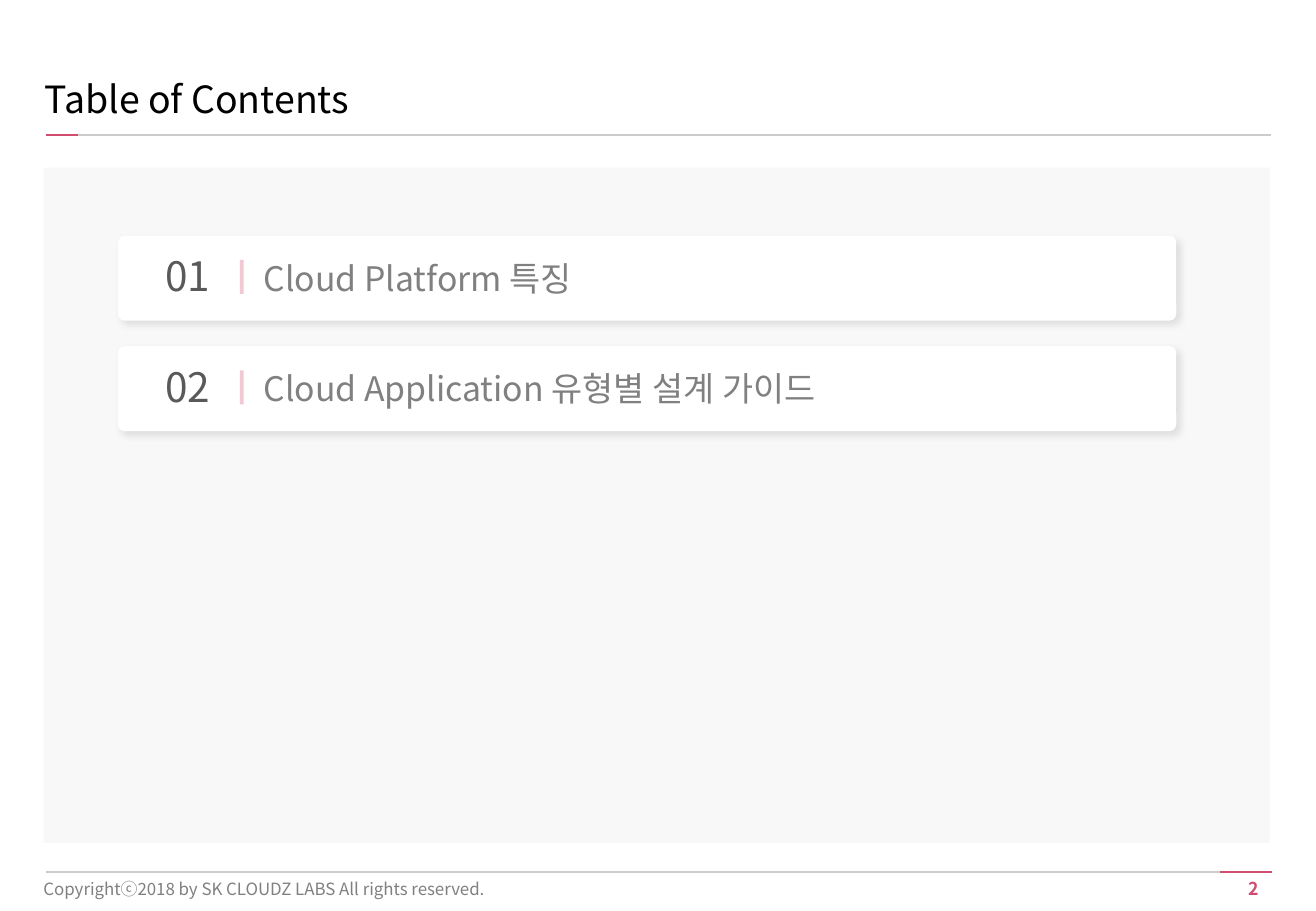
"""Build a table of contents slide with numbered cards."""
import lxml.etree
import pptx
import pptx.dml.color
import pptx.enum.shapes
import pptx.enum.text
import pptx.oxml
import pptx.oxml.ns
import pptx.util

CONTENTS = [
    ("01", "Cloud Platform 특징"),
    ("02", "Cloud Application 유형별 설계 가이드"),
]
TITLE = "Table of Contents"
COPYRIGHT = "Copyrightⓒ2018 by SK CLOUDZ LABS All rights reserved."
PAGE_NUMBER = "2"

COLORS = {
    "accent": "D04D6F", "rule": "CCCCCC", "panel": "F8F8F8", "card": "FFFFFF",
    "title": "000000", "number": "595959", "text": "808080", "shadow": "000000",
}
JP, KR = "Noto Sans CJK JP", "Noto Sans CJK KR"
STYLES = {
    "title": {"size": 22.2, "name": JP, "color": "title"},
    "copyright": {"size": 10, "name": JP, "color": "text"},
    "page": {"size": 10.5, "name": JP, "color": "accent", "bold": True},
    "number": {"size": 24, "name": KR, "color": "number"},
    "topic": {"size": 20, "name": KR, "color": "text"},
}
RULES = [
    (38, 1046, 718, "rule"), (1004, 1047, 718, "accent"),
    (38, 1046, 111, "rule"), (38, 64, 111, "accent"),
]
FIRST_CARD_TOP, CARD_STEP = 194, 91
SHAPES = pptx.enum.shapes.MSO_SHAPE
ALIGN = pptx.enum.text.PP_ALIGN
ANCHOR = pptx.enum.text.MSO_ANCHOR


def px(value):
    return pptx.util.Emu(value * 9144)


def rgb(name):
    return pptx.dml.color.RGBColor.from_string(COLORS[name])


def add_block(page, kind, bounds, color):
    shape = page.shapes.add_shape(kind, *map(px, bounds))
    shape.shadow.inherit = False
    shape.fill.solid()
    shape.fill.fore_color.rgb = rgb(color)
    shape.line.fill.background()
    return shape


def add_rule(page, start, end, color, width=1.5, opacity=100):
    rule = page.shapes.add_connector(
        pptx.enum.shapes.MSO_CONNECTOR.STRAIGHT, *map(px, start + end))
    rule.line.width = pptx.util.Pt(width)
    rule.line.color.rgb = rgb(color)
    properties = rule._element.spPr
    lxml.etree.SubElement(properties, pptx.oxml.ns.qn("a:effectLst"))
    if opacity < 100:
        tint = properties.find(".//" + pptx.oxml.ns.qn("a:srgbClr"))
        alpha = lxml.etree.SubElement(tint, pptx.oxml.ns.qn("a:alpha"))
        alpha.set("val", str(opacity * 1000))


def add_text(page, text, bounds, style, align=ALIGN.LEFT, anchor=ANCHOR.TOP, right=10):
    frame = page.shapes.add_textbox(*map(px, bounds)).text_frame
    layout = {"word_wrap": True, "vertical_anchor": anchor, "margin_right": px(right)}
    for key, value in layout.items():
        setattr(frame, key, value)
    para = frame.paragraphs[0]
    para.alignment = align
    span = para.add_run()
    span.text = text
    values = dict(STYLES[style])
    span.font.color.rgb = rgb(values.pop("color"))
    values["size"] = pptx.util.Pt(values["size"])
    for key, value in values.items():
        setattr(span.font, key, value)
    east_asian = lxml.etree.SubElement(span.font._element, pptx.oxml.ns.qn("a:ea"))
    east_asian.set("typeface", values["name"])


def add_card(page, top, number, topic):
    card = add_block(page, SHAPES.ROUNDED_RECTANGLE, (97, top, 871, 70), "card")
    card.adjustments[0] = 0.08
    effects = card._element.spPr.find(pptx.oxml.ns.qn("a:effectLst"))
    effects.append(pptx.oxml.parse_xml(
        f'<a:outerShdw {pptx.oxml.ns.nsdecls("a")} blurRad="50800" dist="38100" '
        f'dir="2700000" algn="tl" rotWithShape="0"><a:srgbClr val="{COLORS["shadow"]}">'
        '<a:alpha val="10000"/></a:srgbClr></a:outerShdw>'))
    add_text(page, number, (111, top + 8, 87, 50), "number", ALIGN.CENTER)
    add_text(page, topic, (207, top + 13, 612, 44), "topic")
    add_rule(page, (199, top + 20), (199, top + 48), "accent", 2.25, 30)


def main():
    deck = pptx.Presentation()
    deck.slide_width, deck.slide_height = px(1083), px(750)
    page = deck.slides.add_slide(deck.slide_layouts[6])
    add_block(page, SHAPES.RECTANGLE, (36, 138, 1009, 556), "panel")
    for left, right, top, color in RULES:
        add_rule(page, (left, top), (right, top), color)
    add_text(page, TITLE, (27, 58, 722, 46), "title", anchor=ANCHOR.MIDDLE)
    for index, (number, topic) in enumerate(CONTENTS):
        add_card(page, FIRST_CARD_TOP + index * CARD_STEP, number, topic)
    add_text(page, COPYRIGHT, (26, 715, 570, 34), "copyright", anchor=ANCHOR.MIDDLE)
    add_text(page, PAGE_NUMBER, (979, 718, 57, 28), "page", ALIGN.RIGHT, right=0)
    deck.save("out.pptx")


if __name__ == "__main__":
    main()
